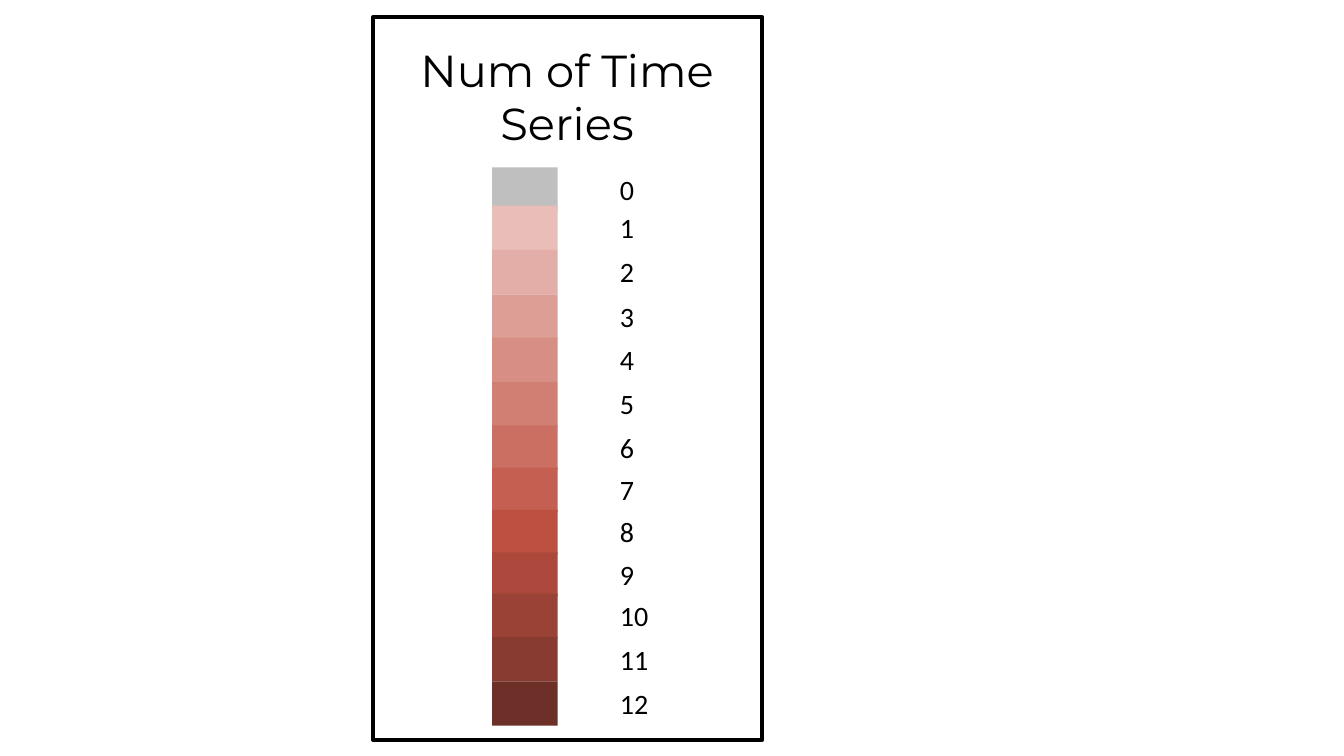
"""Build a legend slide that maps colours to a number of time series."""
from pptx import Presentation
from pptx.dml.color import RGBColor
from pptx.enum import shapes, text
from pptx.util import Inches, Pt

BLACK = RGBColor(0x00, 0x00, 0x00)
LEVELS = [
    (1.66, RGBColor(0xBF, 0xBF, 0xBF)),
    (2.04, RGBColor(0xE9, 0xBE, 0xB8)),
    (2.48, RGBColor(0xE3, 0xAE, 0xA7)),
    (2.92, RGBColor(0xDD, 0x9E, 0x96)),
    (3.35, RGBColor(0xD7, 0x8E, 0x84)),
    (3.79, RGBColor(0xD1, 0x7F, 0x73)),
    (4.22, RGBColor(0xCA, 0x6F, 0x62)),
    (4.64, RGBColor(0xC4, 0x5F, 0x52)),
    (5.06, RGBColor(0xBD, 0x50, 0x41)),
    (5.48, RGBColor(0xAC, 0x49, 0x3C)),
    (5.89, RGBColor(0x9A, 0x42, 0x36)),
    (6.32, RGBColor(0x88, 0x3B, 0x31)),
    (6.76, RGBColor(0x6C, 0x30, 0x28)),
]
SWATCH_LEFT, SWATCH_WIDTH = 4.88, 0.65
COUNT_LEFT, COUNT_WIDTH = 6.05, 1.97
ROW_HEIGHT = 0.44


def add_rectangle(slide, left, top, width, height):
    """Add a plain rectangle without a shadow."""
    rectangle = slide.shapes.add_shape(
        shapes.MSO_SHAPE.RECTANGLE,
        Inches(left), Inches(top), Inches(width), Inches(height))
    rectangle.shadow.inherit = False
    return rectangle


def add_frame(slide, left, top, width, height):
    """Add the unfilled black border of the legend."""
    frame = add_rectangle(slide, left, top, width, height)
    frame.fill.background()
    frame.line.color.rgb = BLACK
    frame.line.width = Pt(3)


def add_swatch(slide, top, color):
    """Add the colour sample of one level."""
    swatch = add_rectangle(slide, SWATCH_LEFT, top, SWATCH_WIDTH, ROW_HEIGHT)
    swatch.fill.solid()
    swatch.fill.fore_color.rgb = color
    swatch.line.fill.background()


def add_label(slide, left, top, width, height, wording, font, size,
              align=text.PP_ALIGN.LEFT):
    """Add a wrapped black label that fits its box to the text."""
    label = slide.shapes.add_textbox(
        Inches(left), Inches(top), Inches(width), Inches(height)).text_frame
    label.word_wrap = True
    label.auto_size = text.MSO_AUTO_SIZE.SHAPE_TO_FIT_TEXT
    paragraph = label.paragraphs[0]
    paragraph.text = wording
    paragraph.alignment = align
    paragraph.font.name = font
    paragraph.font.size = Pt(size)
    paragraph.font.color.rgb = BLACK


def main():
    """Build and save the slide."""
    deck = Presentation()
    deck.slide_width, deck.slide_height = Inches(13.33), Inches(7.5)
    slide = deck.slides.add_slide(deck.slide_layouts[6])
    add_frame(slide, 3.7, 0.17, 3.86, 7.17)
    add_label(slide, 3.88, 0.37, 3.49, 1.18, "Num of Time Series",
              "Montserrat", 32, text.PP_ALIGN.CENTER)
    for count, (top, color) in enumerate(LEVELS):
        add_label(slide, COUNT_LEFT, top, COUNT_WIDTH, ROW_HEIGHT,
                  str(count), "Calibri", 20)
        add_swatch(slide, top, color)
    deck.save("out.pptx")


main()
